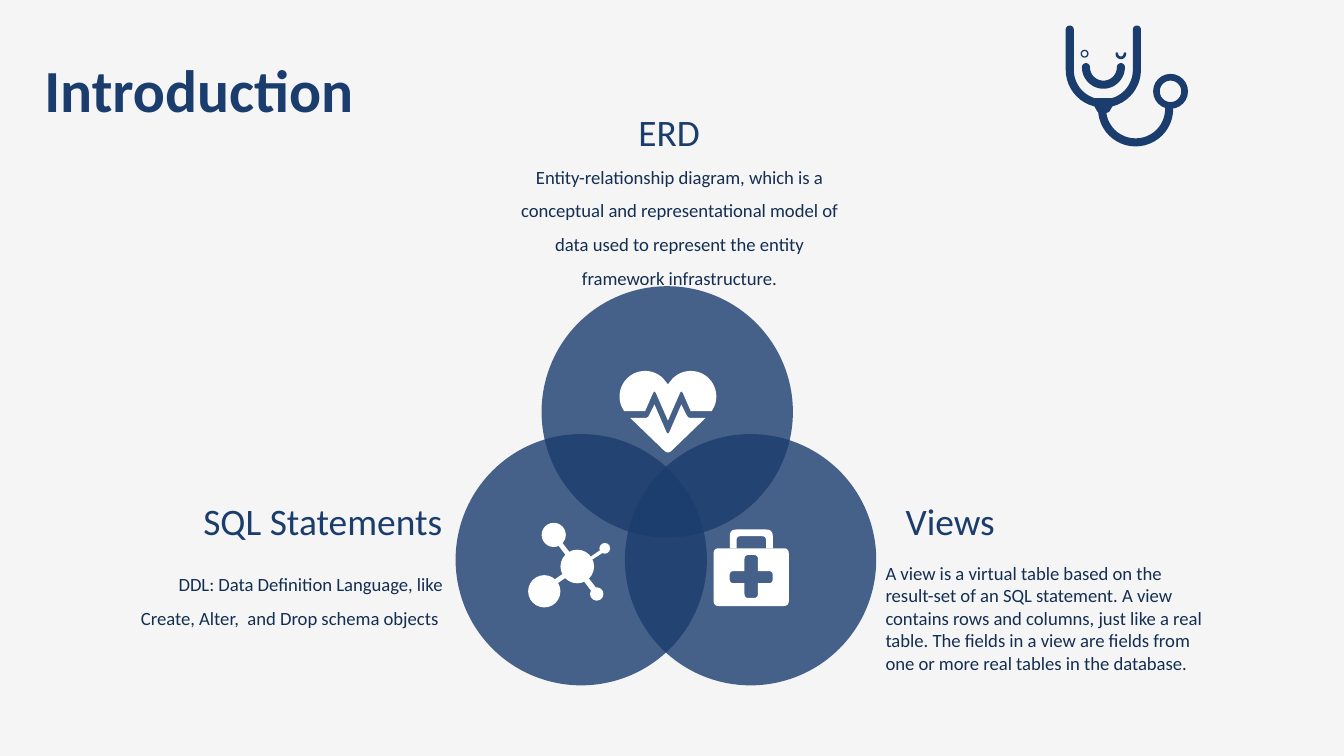
from dataclasses import dataclass
from math import cos, radians, sin

from lxml import etree
from pptx import Presentation
from pptx import util as u
from pptx.dml import color as tint
from pptx.enum import shapes, text
from pptx.oxml import ns

COLORS = {"navy": "1B3D6E", "ink": "142E52", "paper": "F5F5F5", "white": "FFFFFF"}
FONT = "Calibri"
PAGE_WIDTH = 10
Point = tuple[float, float]
Corner = tuple[float, float, float]  # x, y, rounding radius


@dataclass
class Label:
    words: str
    left: float
    top: float
    width: float
    height: float
    align: text.PP_ALIGN
    size: int = 10
    color: str = "ink"
    wrap: bool = True
    spacing: float = 1.0


@dataclass
class Circle:
    left: float
    top: float
    size: float


def heading(words: str, left: float, top: float, width: float, align: text.PP_ALIGN) -> Label:
    return Label(words, left, top, width, 0.44, align, 20, "navy", False)


LEFT, CENTER, RIGHT = text.PP_ALIGN.LEFT, text.PP_ALIGN.CENTER, text.PP_ALIGN.RIGHT
LABELS = [
    Label("Entity-relationship diagram, which is a conceptual and representational model of "
          "data used to represent the entity framework infrastructure.",
          3.76, 1.1, 2.59, 1.11, CENTER, spacing=1.5),
    Label("DDL: Data Definition Language, like Create, Alter,  and Drop schema objects ",
          0.8, 4.13, 2.59, 0.58, RIGHT, spacing=1.5),
    Label("A view is a virtual table based on the result-set of an SQL statement. A view "
          "contains rows and columns, just like a real table. The fields in a view are "
          "fields from one or more real tables in the database.",
          6.49, 4.13, 2.59, 0.94, LEFT),
    heading("SQL Statements", 1.39, 3.66, 2, RIGHT),
    heading("Views", 6.64, 3.66, 0.87, LEFT),
    heading("ERD", 4.65, 0.76, 0.66, CENTER),
]
VENN = [Circle(4.03, 2.13, 1.87), Circle(3.39, 3.23, 1.87), Circle(4.65, 3.23, 1.87)]
ATOMS = [Circle(4.17, 4.09, 0.25), Circle(4.03, 3.89, 0.18), Circle(3.93, 4.28, 0.24),
         Circle(4.46, 4.04, 0.08), Circle(4.39, 4.37, 0.1)]
BONDS = [
    [(4.27, 4.15), (4.24, 4.17), (4.14, 4.04), (4.17, 4.02)],
    [(4.34, 4.25), (4.31, 4.28), (4.41, 4.41), (4.44, 4.38)],
    [(4.35, 4.2), (4.34, 4.18), (4.47, 4.09), (4.49, 4.11)],
    [(4.25, 4.27), (4.23, 4.24), (4.1, 4.33), (4.12, 4.36)],
]


def paint(shape, color: str, opacity: int = 100) -> None:
    shape.shadow.inherit = False
    shape.fill.solid()
    shape.fill.fore_color.rgb = tint.RGBColor.from_string(COLORS[color])
    shape.line.fill.background()
    if opacity < 100:
        fill_color = shape.element.spPr.find(".//" + ns.qn("a:srgbClr"))
        etree.SubElement(fill_color, ns.qn("a:alpha")).set("val", str(opacity * 1000))


def draw_circle(parent, circle: Circle, color: str, opacity: int = 100, rim: float = 0) -> None:
    """Draw a disc, or a ring when a rim width is given."""
    kind = shapes.MSO_SHAPE.DONUT if rim else shapes.MSO_SHAPE.OVAL
    side = u.Inches(circle.size)
    shape = parent.add_shape(kind, u.Inches(circle.left), u.Inches(circle.top), side, side)
    if rim:
        shape.adjustments[0] = rim / circle.size
    paint(shape, color, opacity)


def draw_outline(parent, color: str, *contours: list[Point]) -> None:
    """Draw one filled shape; contours after the first are holes."""
    first, *holes = [[(u.Inches(x), u.Inches(y)) for x, y in contour] for contour in contours]
    builder = parent.build_freeform(*first[0], scale=1.0)
    builder.add_line_segments(first[1:], close=True)
    for hole in holes:
        builder.move_to(*hole[0])
        builder.add_line_segments(hole[1:], close=True)
    paint(builder.convert_to_shape(), color)


def arc(x: float, y: float, radius: float, start: float, end: float, steps: int = 24) -> list[Point]:
    angles = [radians(start + (end - start) * step / steps) for step in range(steps + 1)]
    return [(x + radius * cos(angle), y + radius * sin(angle)) for angle in angles]


def tube(x: float, y: float, radius: float, half: float, rise: float = 0) -> list[Point]:
    """Outline of a U-shaped tube with round ends and straight arms."""
    return (arc(x, y, radius + half, 0, 180) + arc(x - radius, y - rise, half, 180, 360)
            + arc(x, y, radius - half, 180, 0) + arc(x + radius, y - rise, half, 180, 360))


def rounded(corners: list[Corner], steps: int = 6) -> list[Point]:
    """Replace each corner by a quadratic curve that starts its radius away."""
    points = []
    for index, (x, y, radius) in enumerate(corners):
        if not radius:
            points.append((x, y))
            continue
        ends = []
        for other_x, other_y, _ in (corners[index - 1], corners[(index + 1) % len(corners)]):
            ratio = radius / ((other_x - x) ** 2 + (other_y - y) ** 2) ** 0.5
            ends.append((x + (other_x - x) * ratio, y + (other_y - y) * ratio))
        (ax, ay), (bx, by) = ends
        for step in range(steps + 1):
            t = step / steps
            points.append(((1 - t) ** 2 * ax + 2 * t * (1 - t) * x + t * t * bx,
                           (1 - t) ** 2 * ay + 2 * t * (1 - t) * y + t * t * by))
    return points


def draw_stethoscope(parent) -> None:
    for outline in (tube(8.21, 0.52, 0.25, 0.03, 0.3), tube(8.45, 0.81, 0.25, 0.03),
                    tube(8.21, 0.5, 0.13, 0.03), tube(8.34, 0.4, 0.03, 0.01)):
        draw_outline(parent, "navy", outline)
    draw_circle(parent, Circle(8.58, 0.55, 0.26), "navy", rim=0.05)
    draw_circle(parent, Circle(8.04, 0.37, 0.06), "navy", rim=0.01)
    draw_outline(parent, "navy", rounded([
        (8.11, 0.73, 0.01), (8.31, 0.73, 0.01), (8.25, 0.84, 0.02), (8.17, 0.84, 0.02)]))


def draw_molecule(parent) -> None:
    for bond in BONDS:
        draw_outline(parent, "white", bond)
    for atom in ATOMS:
        draw_circle(parent, atom, "white")


def draw_first_aid_case(parent) -> None:
    draw_outline(parent, "white", rounded([
        (5.43, 4.08, 0), (5.43, 3.94, 0.05), (5.75, 3.94, 0.05), (5.75, 4.08, 0),
        (5.7, 4.08, 0), (5.7, 3.99, 0.03), (5.48, 3.99, 0.03), (5.48, 4.08, 0)]))
    case = [(5.31, 4.08, 0.04), (5.87, 4.08, 0.04), (5.87, 4.51, 0.04), (5.31, 4.51, 0.04)]
    soft = 0.03
    cross = [(5.54, 4.13, soft), (5.54, 4.25, 0), (5.43, 4.25, soft), (5.43, 4.34, soft),
             (5.54, 4.34, 0), (5.54, 4.45, soft), (5.64, 4.45, soft), (5.64, 4.34, 0),
             (5.75, 4.34, soft), (5.75, 4.25, soft), (5.64, 4.25, 0), (5.64, 4.13, soft)]
    draw_outline(parent, "white", rounded(case), rounded(cross))


def draw_heart(parent) -> None:
    pulse = rounded([(5.14, 3.06, 0), (5.07, 2.9, 0.03), (4.97, 3.13, 0),
                     (4.87, 2.9, 0.03), (4.8, 3.06, 0)])
    lobes = arc(4.8, 2.95, 0.19, 145, 315) + [(4.97, 2.86)] + arc(5.14, 2.95, 0.19, 225, 395)
    draw_outline(parent, "white", lobes + pulse)
    draw_outline(parent, "white", rounded([
        (4.69, 3.11, 0), (4.82, 3.11, 0.02), (4.87, 3.01, 0), (4.97, 3.24, 0.03),
        (5.07, 3.01, 0), (5.12, 3.11, 0.02), (5.25, 3.11, 0), (4.97, 3.38, 0.04)]))


def write(box, label: Label, bold: bool = False) -> None:
    box.left, box.top = u.Inches(label.left), u.Inches(label.top)
    box.width, box.height = u.Inches(label.width), u.Inches(label.height)
    frame = box.text_frame
    frame.word_wrap = label.wrap
    frame.auto_size = text.MSO_AUTO_SIZE.SHAPE_TO_FIT_TEXT
    frame.vertical_anchor = text.MSO_ANCHOR.TOP
    para = frame.paragraphs[0]
    para.alignment = label.align
    para.line_spacing = label.spacing
    span = para.add_run()
    span.text = label.words
    span.font.name, span.font.size, span.font.bold = FONT, u.Pt(label.size), bold
    span.font.color.rgb = tint.RGBColor.from_string(COLORS[label.color])


def main() -> None:
    deck = Presentation()
    deck.slide_width = u.Inches(PAGE_WIDTH)
    deck.slide_height = u.Inches(PAGE_WIDTH * 9 / 16)
    page = deck.slides.add_slide(deck.slide_layouts[5])
    page.background.fill.solid()
    page.background.fill.fore_color.rgb = tint.RGBColor.from_string(COLORS["paper"])
    write(page.shapes.title,
          Label("Introduction", 0.23, 0.34, 2.53, 0.64, LEFT, 32, "navy", False), bold=True)
    draw_stethoscope(page.shapes.add_group_shape().shapes)
    for circle in VENN:
        draw_circle(page.shapes, circle, "navy", opacity=80)
    for label in LABELS:
        write(page.shapes.add_textbox(0, 0, 0, 0), label)
    for draw_icon in (draw_molecule, draw_first_aid_case, draw_heart):
        draw_icon(page.shapes.add_group_shape().shapes)
    deck.save("out.pptx")


if __name__ == "__main__":
    main()
